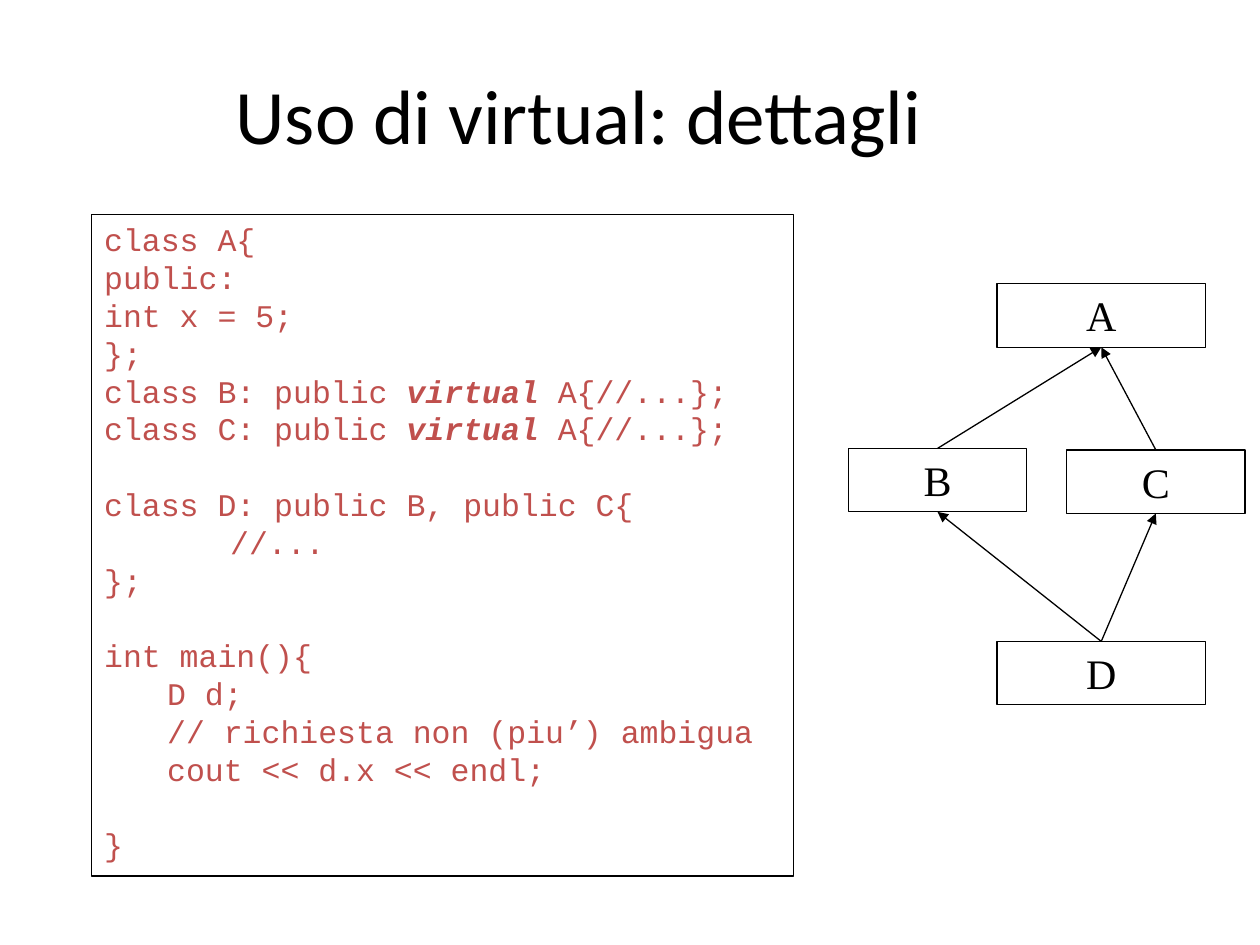
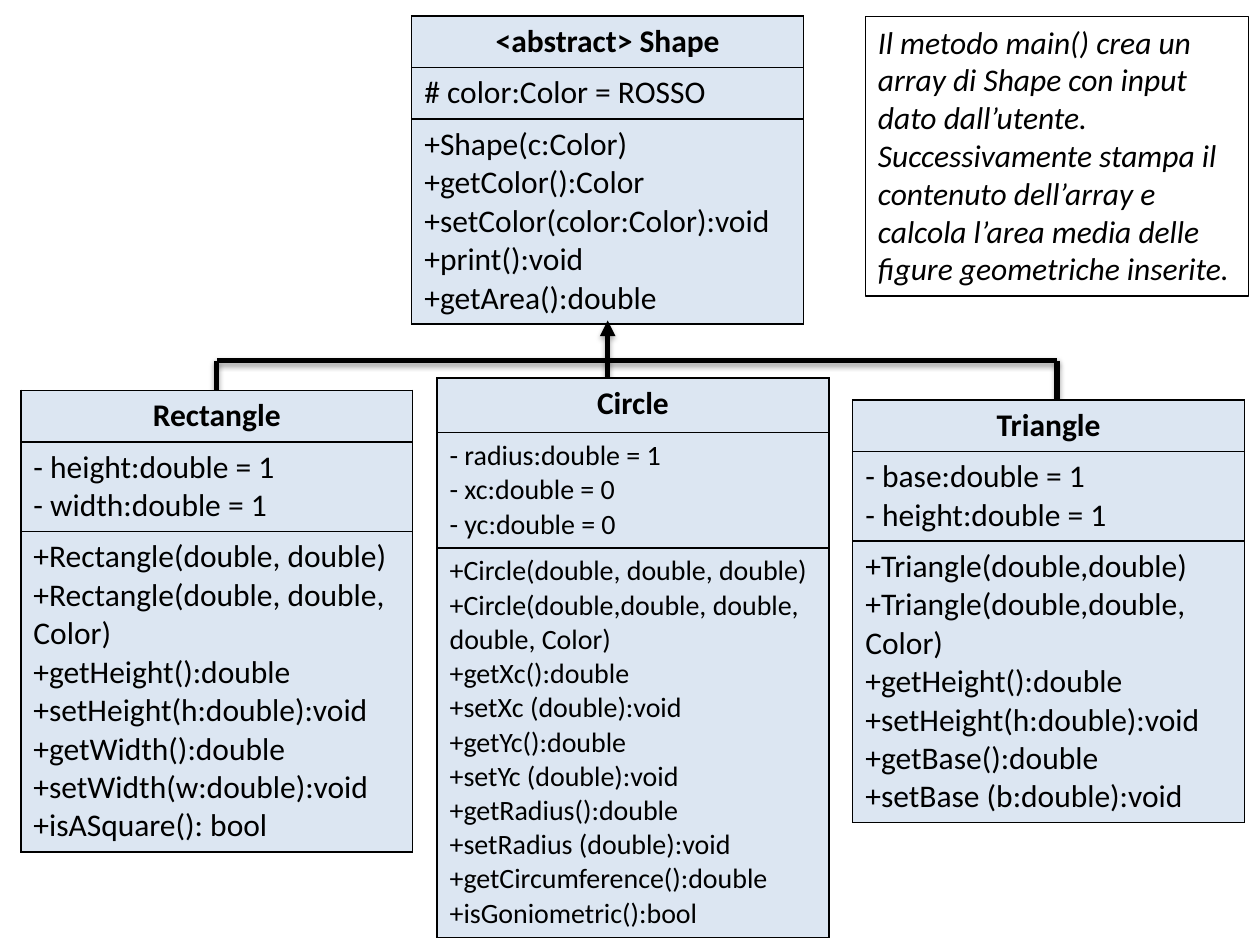
from dataclasses import dataclass

from lxml.etree import SubElement
from pptx import Presentation
from pptx.dml.color import RGBColor
from pptx.enum.shapes import MSO_CONNECTOR, MSO_SHAPE
from pptx.enum.text import MSO_ANCHOR, PP_ALIGN
from pptx.oxml import parse_xml
from pptx.oxml.ns import nsdecls, qn
from pptx.util import Cm, Pt


@dataclass(frozen=True)
class Theme:
    ink: RGBColor = RGBColor(0x00, 0x00, 0x00)
    code: RGBColor = RGBColor(0xC0, 0x50, 0x4D)
    class_fill: RGBColor = RGBColor(0xDC, 0xE6, 0xF2)
    text_font: str = "Calibri"
    code_font: str = "Courier New"
    node_font: str = "Times New Roman"
    title_size: Pt = Pt(44)
    node_size: Pt = Pt(24)
    body_size: Pt = Pt(18)
    small_size: Pt = Pt(16)
    line_height: Pt = Pt(21.6)
    thin: Pt = Pt(0.75)
    thick: Pt = Pt(3)


class Deck:
    def __init__(self, theme):
        self.theme = theme
        self.presentation = Presentation()
        self.presentation.slide_width = Cm(25.4)
        self.presentation.slide_height = Cm(19.05)
        self.slide = None

    def new_slide(self):
        self.slide = self.presentation.slides.add_slide(self.presentation.slide_layouts[6])

    def style(self, paragraph, font, size, color=None, bold=False, italic=False):
        for run in paragraph.runs:
            run.font.name = font
            run.font.size = size
            run.font.color.rgb = color or self.theme.ink
            run.font.bold = bold
            run.font.italic = italic

    def title(self, text, left, top, width, height):
        frame = self.slide.shapes.add_textbox(Cm(left), Cm(top), Cm(width), Cm(height)).text_frame
        frame.word_wrap = True
        frame.vertical_anchor = MSO_ANCHOR.MIDDLE
        frame.text = text
        frame.paragraphs[0].alignment = PP_ALIGN.CENTER
        self.style(frame.paragraphs[0], self.theme.text_font, self.theme.title_size)

    def box(self, left, top, width, height):
        box = self.slide.shapes.add_shape(
            MSO_SHAPE.RECTANGLE, Cm(left), Cm(top), Cm(width), Cm(height))
        box.shadow.inherit = False
        box.fill.background()
        box.line.color.rgb = self.theme.ink
        box.line.width = self.theme.thin
        box.text_frame.word_wrap = True
        box.text_frame.vertical_anchor = MSO_ANCHOR.TOP
        return box

    def node(self, label, left, top, width):
        node = self.box(left, top, width, 1.28)
        node.text_frame.text = label
        paragraph = node.text_frame.paragraphs[0]
        paragraph.alignment = PP_ALIGN.CENTER
        self.style(paragraph, self.theme.node_font, self.theme.node_size)
        return node

    def note(self, text, left, top, width, height):
        frame = self.box(left, top, width, height).text_frame
        frame.text = text
        paragraph = frame.paragraphs[0]
        paragraph.alignment = PP_ALIGN.LEFT
        paragraph.line_spacing = self.theme.line_height
        self.style(paragraph, self.theme.text_font, self.theme.body_size, italic=True)

    def code(self, blocks, keyword, left, top, width, height):
        frame = self.box(left, top, width, height).text_frame
        lines = [(block, row, indent, text)
                 for block, rows in enumerate(blocks)
                 for row, (indent, text) in enumerate(rows)]
        frame.text = "\n".join(text for *_, text in lines)
        for paragraph, (block, row, indent, text) in zip(frame.paragraphs, lines):
            paragraph.alignment = PP_ALIGN.JUSTIFY
            paragraph.line_spacing = self.theme.line_height
            if block and row == 0:
                paragraph.space_before = self.theme.line_height
            if indent:
                paragraph._p.get_or_add_pPr().set("marL", str(Cm(1.27 * indent)))
            before, found, after = text.partition(keyword)
            if found:
                paragraph.text = before
                for part in (found, after):
                    paragraph.add_run().text = part
            self.style(paragraph, self.theme.code_font, self.theme.body_size, self.theme.code)
            if found:
                paragraph.runs[1].font.bold = paragraph.runs[1].font.italic = True

    def line(self, start=(0, 0), end=(0, 0), width=None, arrow=False, shadow=False):
        line = self.slide.shapes.add_connector(
            MSO_CONNECTOR.STRAIGHT, *(Cm(value) for value in (*start, *end)))
        line.line.color.rgb = self.theme.ink
        line.line.width = width or self.theme.thin
        properties = line._element.spPr
        if arrow:
            SubElement(properties.find(qn("a:ln")), qn("a:tailEnd"), type="triangle")
        effects = SubElement(properties, qn("a:effectLst"))
        if shadow:
            effects.append(parse_xml(
                f'<a:outerShdw {nsdecls("a")} blurRad="{Pt(3.1)}" dist="{Pt(1.8)}" '
                'dir="5400000" rotWithShape="0"><a:srgbClr val="000000">'
                '<a:alpha val="35000"/></a:srgbClr></a:outerShdw>'))
        return line

    def inherit(self, child, parent):
        arrow = self.line(arrow=True)
        arrow.begin_connect(child, 0)
        arrow.end_connect(parent, 2)

    def class_table(self, name, fields, methods, left, top, heights, size=None):
        frame = self.slide.shapes.add_table(
            3, 1, Cm(left), Cm(top), Cm(7.9), Cm(sum(heights)))
        table = frame.table
        table.first_row = table.horz_banding = False
        for index, (rows, height) in enumerate(zip(([name], fields, methods), heights)):
            table.rows[index].height = Cm(height)
            cell = table.cell(index, 0)
            cell.text_frame.text = "\n".join(rows)
            heading = index == 0
            for paragraph in cell.text_frame.paragraphs:
                paragraph.alignment = PP_ALIGN.CENTER if heading else PP_ALIGN.LEFT
                self.style(paragraph, self.theme.text_font,
                           self.theme.body_size if heading else size or self.theme.body_size,
                           bold=heading)
            for side in ("lnL", "lnR", "lnT", "lnB"):
                cell._tc.get_or_add_tcPr().append(parse_xml(
                    f'<a:{side} {nsdecls("a")} w="{Pt(1)}"><a:solidFill>'
                    f'<a:srgbClr val="{self.theme.ink}"/></a:solidFill></a:{side}>'))
            cell.fill.solid()
            cell.fill.fore_color.rgb = self.theme.class_fill


def virtual_slide(deck):
    deck.new_slide()
    deck.title("Uso di virtual: dettagli", 0.89, 0.71, 21.56, 3.15)
    base = deck.node("A", 20.1, 5.72, 4.2)
    left_child = deck.node("B", 17.1, 9.04, 3.6)
    right_child = deck.node("C", 21.5, 9.07, 3.6)
    grandchild = deck.node("D", 20.1, 12.93, 4.2)
    for middle in (left_child, right_child):
        deck.inherit(middle, base)
        deck.inherit(grandchild, middle)
    deck.code([
        [(0, "class A{"),
         (0, "public:"),
         (0, "int x = 5;"),
         (0, "};"),
         (0, "class B: public virtual A{//...};"),
         (0, "class C: public virtual A{//...};")],
        [(0, "class D: public B, public C{"),
         (2, "//..."),
         (0, "};")],
        [(0, "int main(){"),
         (1, "D d;"),
         (1, "// richiesta non (piu’) ambigua"),
         (1, "cout << d.x << endl;")],
        [(0, "}")],
    ], "virtual", 1.85, 4.32, 14.15, 13.34)


def shapes_slide(deck):
    deck.new_slide()
    deck.class_table(
        "<abstract> Shape", ["# color:Color = ROSSO"],
        ["+Shape(c:Color)", "+getColor():Color", "+setColor(color:Color):void",
         "+print():void", "+getArea():double"],
        8.3, 0.32, (1.04, 1.04, 4.13))

    rectangle_x, circle_x, triangle_x, bar_y = 4.37, 12.25, 21.31, 7.27
    thick = deck.theme.thick
    deck.line((circle_x, 8.9), (circle_x, 6.46), thick, arrow=True, shadow=True)
    for start, end in (((rectangle_x, bar_y), (triangle_x, bar_y)),
                       ((rectangle_x, bar_y), (rectangle_x, 8.66)),
                       ((triangle_x, bar_y), (triangle_x, 8.64))):
        deck.line(start, end, thick, shadow=True)

    deck.class_table(
        "Rectangle", ["- height:double = 1", "- width:double = 1"],
        ["+Rectangle(double, double)", "+Rectangle(double, double, Color)",
         "+getHeight():double", "+setHeight(h:double):void", "+getWidth():double",
         "+setWidth(w:double):void", "+isASquare(): bool"],
        0.42, 7.87, (1.04, 1.8, 6.46))
    deck.class_table(
        "Circle", ["- radius:double = 1", "- xc:double = 0", "- yc:double = 0"],
        ["+Circle(double, double, double)", "+Circle(double,double, double, double, Color)",
         "+getXc():double", "+setXc (double):void", "+getYc():double",
         "+setYc (double):void", "+getRadius():double", "+setRadius (double):void",
         "+getCircumference():double", "+isGoniometric():bool"],
        8.81, 7.62, (1.1, 2.32, 7.85), deck.theme.small_size)
    deck.class_table(
        "Triangle", ["- base:double = 1", "- height:double = 1"],
        ["+Triangle(double,double)", "+Triangle(double,double, Color)",
         "+getHeight():double", "+setHeight(h:double):void", "+getBase():double",
         "+setBase (b:double):void"],
        17.19, 8.06, (1.04, 1.8, 5.68))
    deck.note(
        "Il metodo main() crea un array di Shape con input dato dall’utente. "
        "Successivamente stampa il contenuto dell’array e calcola l’area media "
        "delle figure geometriche inserite.", 17.45, 0.33, 7.72, 5.64)


def main():
    deck = Deck(Theme())
    virtual_slide(deck)
    shapes_slide(deck)
    deck.presentation.save("out.pptx")


if __name__ == "__main__":
    main()
